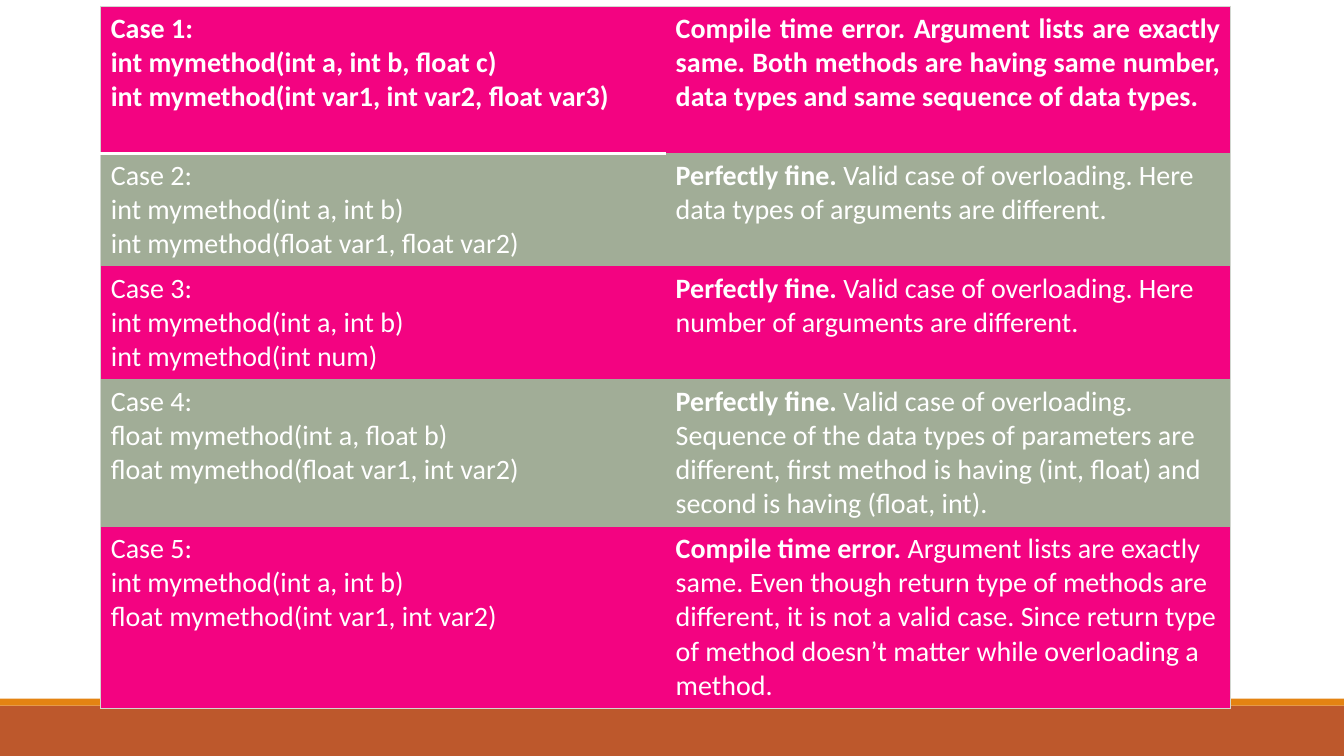
from lxml.etree import SubElement
from pptx import Presentation
from pptx.dml.color import RGBColor
from pptx.enum.shapes import MSO_SHAPE as Shape
from pptx.enum.text import PP_ALIGN as Align
from pptx.oxml.ns import qn
from pptx.util import Pt

COLORS = {"pink": "F30381", "sage": "A1AD97", "white": "FFFFFF",
          "edge": "D2D6CF", "rust": "BD582C", "orange": "E48312"}

# Signatures, bold verdict, explanation, row height
CASES = [
    (["int mymethod(int a, int b, float c)",
      "int mymethod(int var1, int var2, float var3)"],
     "Compile time error.",
     " Argument lists are exactly same. Both methods are having same number, "
     "data types and same sequence of data types.", 105),
    (["int mymethod(int a, int b)", "int mymethod(float var1, float var2)"],
     "Perfectly fine.",
     " Valid case of overloading. Here data types of arguments are different.", 80.5),
    (["int mymethod(int a, int b)", "int mymethod(int num)"],
     "Perfectly fine.",
     " Valid case of overloading. Here number of arguments are different.", 80.5),
    (["float mymethod(int a, float b)", "float mymethod(float var1, int var2)"],
     "Perfectly fine.",
     " Valid case of overloading. Sequence of the data types of parameters are "
     "different, first method is having (int, float) and second is having (float, int).",
     105),
    (["int mymethod(int a, int b)", "float mymethod(int var1, int var2)"],
     "Compile time error.",
     " Argument lists are exactly same. Even though return type of methods are "
     "different, it is not a valid case. Since return type of method doesn’t matter "
     "while overloading a method.", 129.5),
]
FOOTER_BANDS = [("rust", 504, 36), ("orange", 499, 5)]  # colour, top, height
TABLE_LEFT, TABLE_TOP, COLUMN_WIDTH = 72, 4.5, 403.5
PLAIN_STYLE = "{2D5ABB26-0587-4C30-8999-92F81FD0307C}"


def rgb(name):
    return RGBColor.from_string(COLORS[name])


def add_span(para, text, bold):
    span = para.add_run()
    span.text = text
    span.font.name, span.font.size, span.font.bold = "Calibri", Pt(20), bold
    span.font.color.rgb = rgb("white")


def add_borders(cell, borders):
    """Draw (color, width) borders, keyed by side and given in L, R, T, B order."""
    for side, (color, width) in borders.items():
        line = SubElement(cell._tc.get_or_add_tcPr(), qn(f"a:ln{side}"), w=str(Pt(width)))
        fill = SubElement(line, qn("a:solidFill"))
        SubElement(fill, qn("a:srgbClr"), val=COLORS[color])


def cell_borders(row, column):
    borders = {"RL"[column == 0]: ("edge", 1)}
    if row == 0:
        borders["T"] = ("edge", 1)
        if column == 0:
            borders["B"] = ("white", 2)
    elif row == len(CASES) - 1:
        borders["B"] = ("edge", 1)
    return borders


def add_footer(page, width):
    for color, top, height in FOOTER_BANDS:
        band = page.shapes.add_shape(Shape.RECTANGLE, 0, Pt(top), width, Pt(height))
        band.shadow.inherit = False
        band.fill.solid()
        band.fill.fore_color.rgb = rgb(color)
        band.line.fill.background()


def add_case_table(page):
    height = sum(case[-1] for case in CASES)
    frame = page.shapes.add_table(len(CASES), 2, Pt(TABLE_LEFT), Pt(TABLE_TOP),
                                  Pt(2 * COLUMN_WIDTH), Pt(height))
    table = frame.table
    table._tbl.tblPr.find(qn("a:tableStyleId")).text = PLAIN_STYLE
    table.first_row = table.horz_banding = False
    for column in table.columns:
        column.width = Pt(COLUMN_WIDTH)

    for row, (signatures, verdict, reason, row_height) in enumerate(CASES):
        table.rows[row].height = Pt(row_height)
        heading = row == 0
        left, right = table.cell(row, 0), table.cell(row, 1)
        for index, line in enumerate([f"Case {row + 1}:", *signatures]):
            text = left.text_frame
            para = text.add_paragraph() if index else text.paragraphs[0]
            add_span(para, line, heading)
        para = right.text_frame.paragraphs[0]
        if heading:
            para.alignment = Align.JUSTIFY
        add_span(para, verdict, True)
        add_span(para, reason, heading)
        for column, cell in enumerate((left, right)):
            add_borders(cell, cell_borders(row, column))
            cell.fill.solid()
            cell.fill.fore_color.rgb = rgb("sage" if row % 2 else "pink")


def main():
    deck = Presentation()
    deck.slide_width, deck.slide_height = Pt(960), Pt(540)
    page = deck.slides.add_slide(deck.slide_layouts[6])
    add_footer(page, deck.slide_width)
    add_case_table(page)
    deck.save("out.pptx")


if __name__ == "__main__":
    main()
